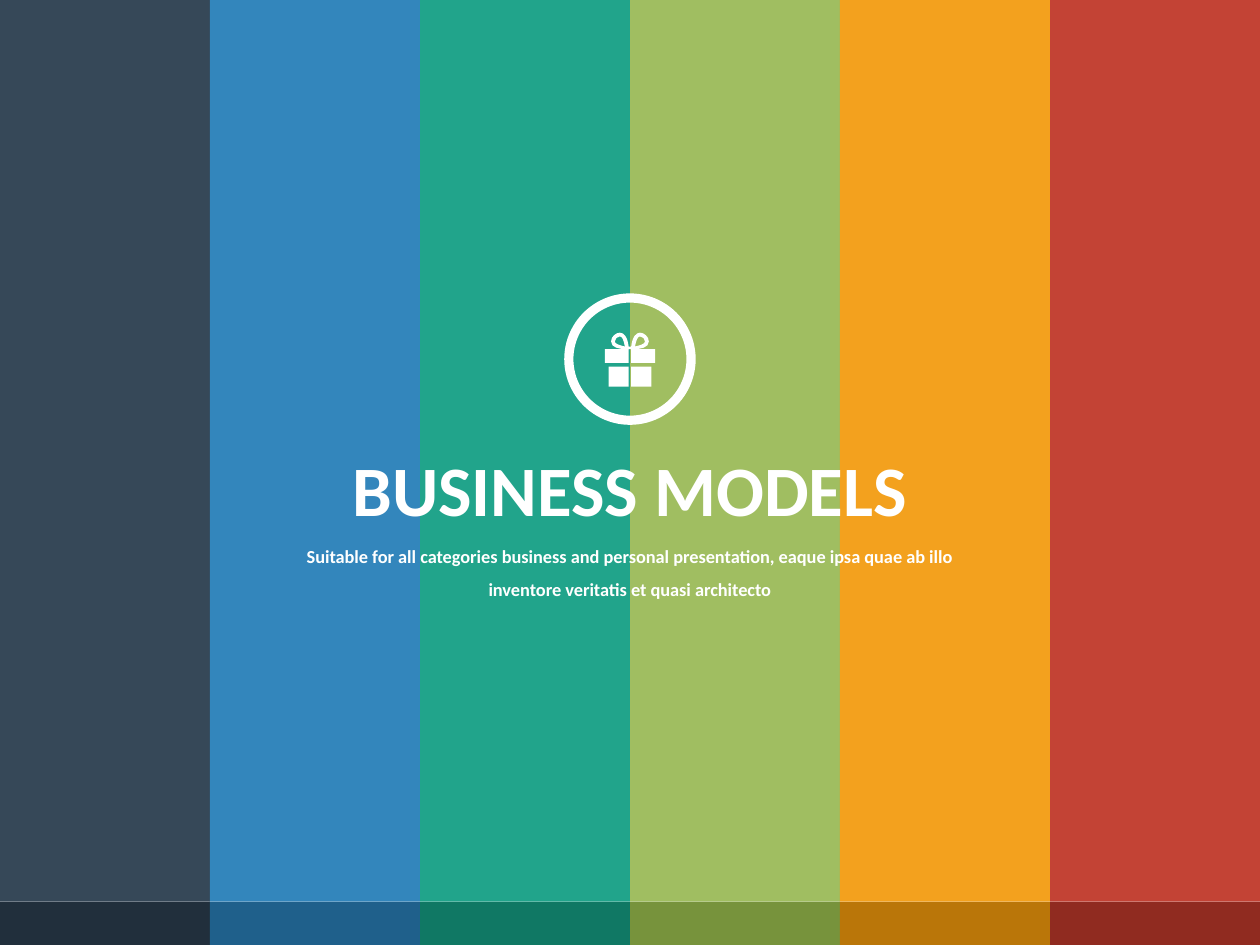
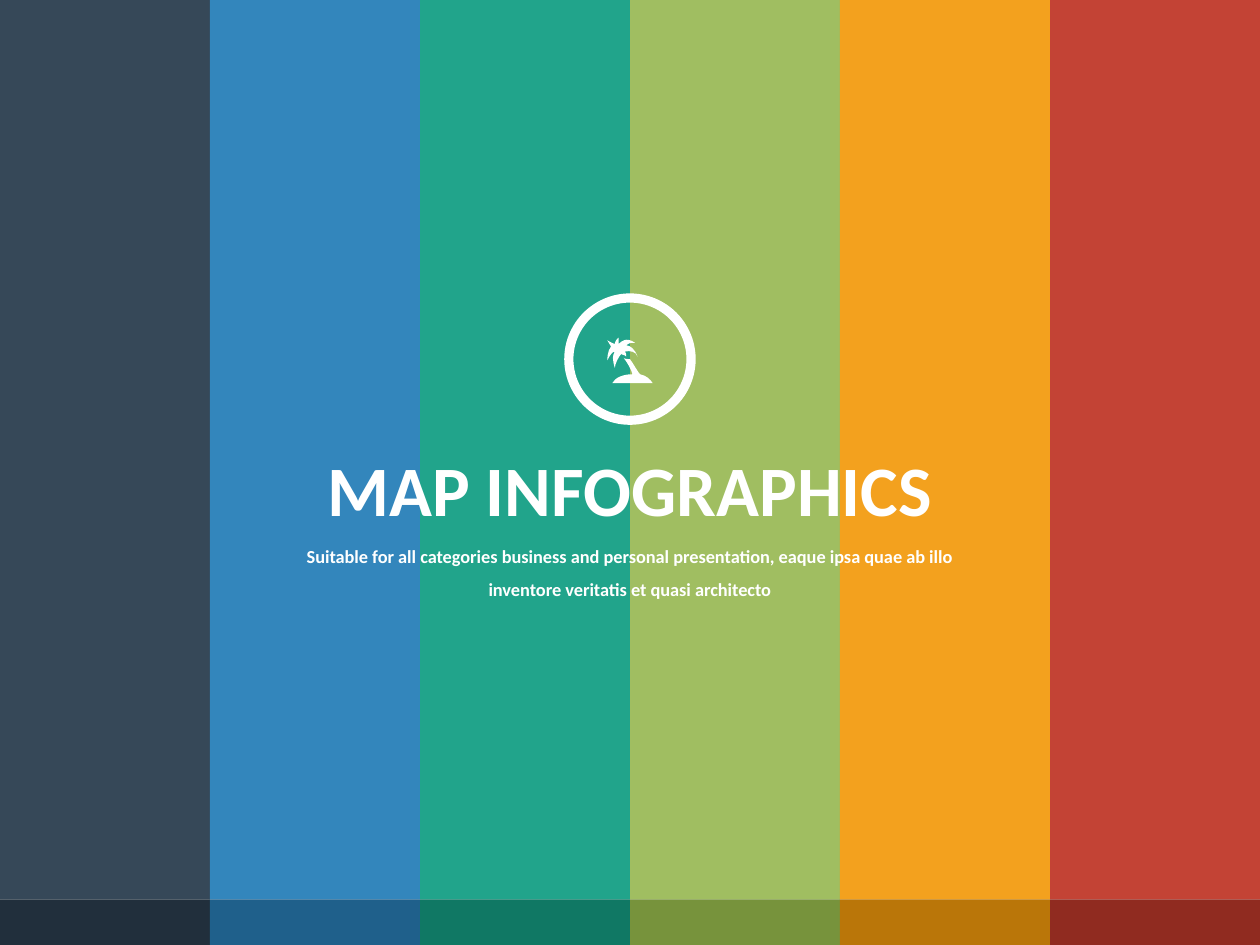
import pptx
import pptx.util
import pptx.dml.color
import pptx.enum.shapes
import pptx.enum.text
import pptx.oxml.ns
import lxml.etree
from pptx.util import Cm

COLORS = {
    "white": "FFFFFF",
    "stripes": ["2C3F50", "2980B9", "16A085", "9BBB59", "F39C12", "C0392B"],
    "bars": ["212F3C", "1F608B", "107864", "77933C", "BA7609", "902B20"],
}
FONT = "Calibri"
SLIDE_WIDTH, SLIDE_HEIGHT = Cm(25.4), Cm(19.05)
RING_SIZE, RING_CENTER_Y = Cm(2.65), Cm(7.24)
ICON_UNIT = Cm(0.0254)
SUBTITLE = ("Suitable for all categories business and personal presentation, "
            "eaque ipsa quae ab illo inventore veritatis et quasi architecto")

# Outlines in icon units around the ring centre: a start point, then
# segments of one point (line) or three points (Bézier curve)
HALF_BOW_AND_LID = [
    ((0, -8), [[(1, -8)], [(1, 3)], [(20, 3)], [(20, -8)], [(4, -8)],
               [(8, -8), (15, -9), (15, -14)], [(15, -18), (11, -21), (8, -21)],
               [(5, -21), (2, -18), (1, -10)], [(0, -10)]]),
    ((8, -18), [[(10, -18), (12, -16), (12, -14)], [(12, -12), (8, -11), (4, -10)],
                [(5, -15), (6, -18), (8, -18)]]),
]
TRUNK_AND_ISLAND = [
    ((8, 12), [[(6, 10), (3, 4), (0, 0)], [(0, 0), (-5, 0), (-5, -1)],
               [(-2, 3), (1, 8), (2, 12)], [(-6, 12), (-12, 15), (-14, 19)],
               [(18, 19)], [(16, 16), (13, 13), (8, 12)]]),
]
PALM_LEAVES = [
    ((-12, -6), [[(-14, -3), (-14, 0), (-12, 7)], [(-12, 4), (-9, -2), (-7, -4)],
                 [(-5, -4), (-3, -2), (-3, -2)], [(-3, -4), (-3, -5), (-4, -6)],
                 [(0, -7), (5, -6), (6, -2)], [(4, -8), (0, -11), (-3, -11)],
                 [(0, -13), (0, -13), (4, -13)], [(-3, -18), (-7, -14), (-9, -12)],
                 [(-9, -13), (-9, -16), (-9, -17)], [(-9, -17), (-12, -15), (-12, -12)],
                 [(-15, -13), (-18, -15), (-18, -15)],
                 [(-17, -14), (-16, -11), (-15, -10)],
                 [(-18, -7), (-18, 1), (-18, 1)], [(-16, -3), (-14, -6), (-12, -6)]]),
]


def paint(shape, color, opacity=100):
    shape.shadow.inherit = False
    shape.line.fill.background()
    shape.fill.solid()
    shape.fill.fore_color.rgb = pptx.dml.color.RGBColor.from_string(color)
    if opacity < 100:
        color_element = shape._element.spPr.find(".//" + pptx.oxml.ns.qn("a:srgbClr"))
        alpha = lxml.etree.SubElement(color_element, pptx.oxml.ns.qn("a:alpha"))
        alpha.set("val", str(opacity * 1000))


def add_rectangle(slide, left, top, width, height, color, opacity=100):
    shape = slide.shapes.add_shape(
        pptx.enum.shapes.MSO_SHAPE.RECTANGLE, left, top, width, height)
    paint(shape, color, opacity)


def mirrored(contours):
    return [((-x, y), [[(-u, v) for u, v in segment] for segment in segments])
            for (x, y), segments in contours]


def bend_segments(shape, segments):
    """Merge each run of three line segments that stands for a curve."""
    lines = iter(list(shape._element.iter(pptx.oxml.ns.qn("a:lnTo"))))
    for segment in segments:
        first, *others = [next(lines) for _ in segment]
        if others:
            curve = lxml.etree.Element(pptx.oxml.ns.qn("a:cubicBezTo"))
            first.addprevious(curve)
            for line in (first, *others):
                curve.append(line[0])
                line.getparent().remove(line)


def add_outline(slide, contours, center_x, center_y):
    builder = None
    for start, segments in contours:
        points = [(x * ICON_UNIT, y * ICON_UNIT)
                  for x, y in [start, *sum(segments, [])]]
        if builder is None:
            builder = slide.shapes.build_freeform(*points[0], scale=1.0)
        else:
            builder.move_to(*points[0])
        # A last point on the start closes the contour by itself
        closed = points[-1] == points[0]
        builder.add_line_segments(points[1:], close=False)
        if not closed:
            builder.add_line_segments([points[0]], close=True)
    shape = builder.convert_to_shape(center_x, center_y)
    bend_segments(shape, [
        segment for start, segments in contours
        for segment in segments + ([] if segments[-1][-1] == start else [[start]])])
    paint(shape, COLORS["white"])


def draw_gift(slide, center_x, center_y):
    # Two halves of the box, then the bow and lid
    for left in (-17, 1):
        add_rectangle(slide, center_x + left * ICON_UNIT, center_y + 6 * ICON_UNIT,
                      16 * ICON_UNIT, 16 * ICON_UNIT, COLORS["white"])
    add_outline(slide, HALF_BOW_AND_LID + mirrored(HALF_BOW_AND_LID), center_x, center_y)


def draw_palm(slide, center_x, center_y):
    for contours in (TRUNK_AND_ISLAND, PALM_LEAVES):
        add_outline(slide, contours, center_x, center_y)


def add_columns(slide, colors, top, height, opacity=100):
    column_width = SLIDE_WIDTH // len(colors)
    for column, color in enumerate(colors):
        add_rectangle(slide, column * column_width, top, column_width, height,
                      color, opacity)


def fill_placeholder(slide, placeholder, text, size, top, width, height,
                     wrap=True, line_spacing=1.0):
    # Bring the text in front of the stripes
    slide.shapes._spTree.append(placeholder._element)
    placeholder.left, placeholder.top = (SLIDE_WIDTH - width) // 2, top
    placeholder.width, placeholder.height = width, height
    frame = placeholder.text_frame
    frame.text = text
    frame.word_wrap = wrap
    frame.auto_size = pptx.enum.text.MSO_AUTO_SIZE.SHAPE_TO_FIT_TEXT
    frame.vertical_anchor = pptx.enum.text.MSO_ANCHOR.TOP
    paragraph = frame.paragraphs[0]
    paragraph.alignment = pptx.enum.text.PP_ALIGN.CENTER
    paragraph.line_spacing = line_spacing
    paragraph.space_before = pptx.util.Pt(0)
    font = paragraph.runs[0].font
    font.name, font.size, font.bold = FONT, pptx.util.Pt(size), True
    font.color.rgb = pptx.dml.color.RGBColor.from_string(COLORS["white"])


def add_emblem(slide, draw_icon):
    center_x = SLIDE_WIDTH // 2
    ring = slide.shapes.add_shape(
        pptx.enum.shapes.MSO_SHAPE.DONUT, center_x - RING_SIZE // 2,
        RING_CENTER_Y - RING_SIZE // 2, RING_SIZE, RING_SIZE)
    ring.adjustments[0] = 0.07
    paint(ring, COLORS["white"])
    draw_icon(slide, center_x, RING_CENTER_Y)


def add_section_slide(presentation, title, title_width, stripe_height, draw_icon):
    slide = presentation.slides.add_slide(presentation.slide_layouts[0])
    # Tall stripes and the darker bar below them
    add_columns(slide, COLORS["stripes"], 0, stripe_height, opacity=95)
    add_columns(slide, COLORS["bars"], stripe_height, SLIDE_HEIGHT - stripe_height)
    fill_placeholder(slide, slide.shapes.title, title, 40.5,
                     Cm(8.86), title_width, Cm(1.98), wrap=False)
    fill_placeholder(slide, slide.placeholders[1], SUBTITLE, 10.5,
                     Cm(10.64), Cm(14.27), Cm(1.6), line_spacing=1.5)
    add_emblem(slide, draw_icon)


def main():
    presentation = pptx.Presentation()
    presentation.slide_width, presentation.slide_height = SLIDE_WIDTH, SLIDE_HEIGHT
    add_section_slide(presentation, "BUSINESS MODELS", Cm(11.79), Cm(18.18), draw_gift)
    add_section_slide(presentation, "MAP INFOGRAPHICS", Cm(12.8), Cm(18.13), draw_palm)
    presentation.save("out.pptx")


if __name__ == "__main__":
    main()
